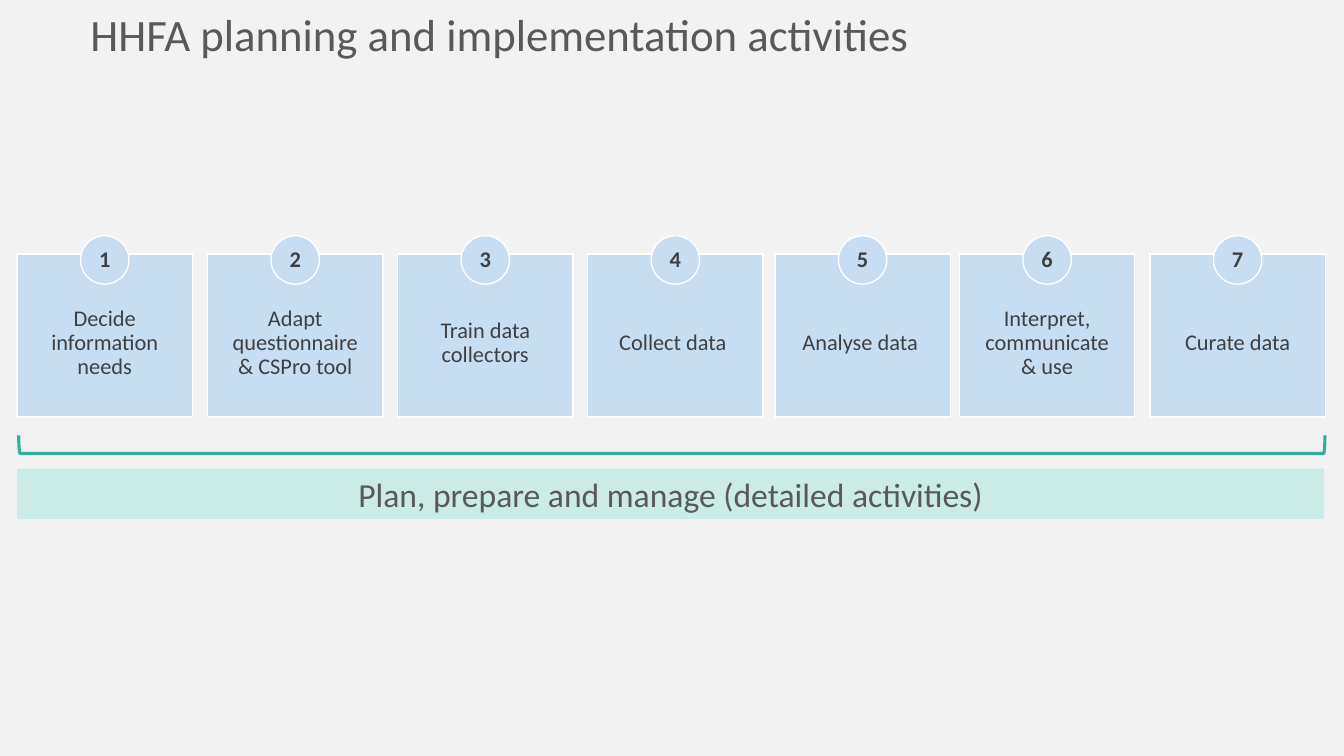
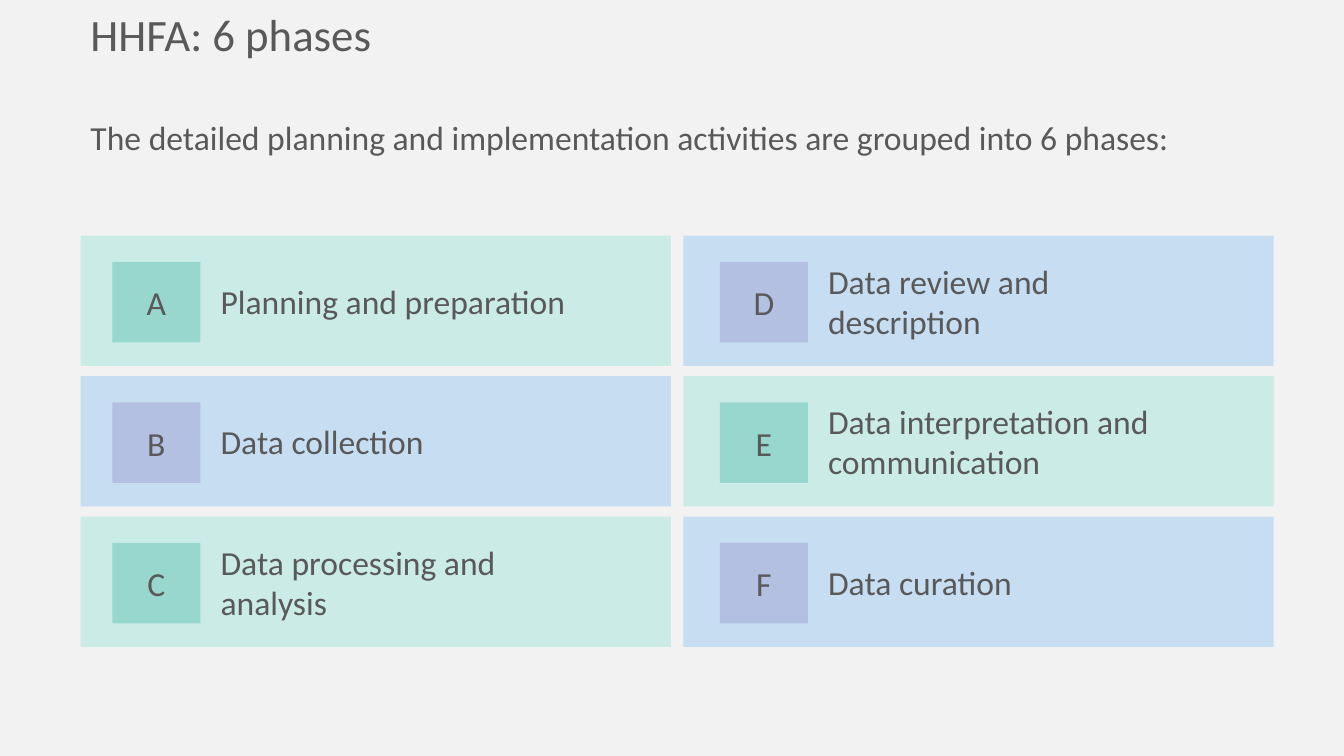
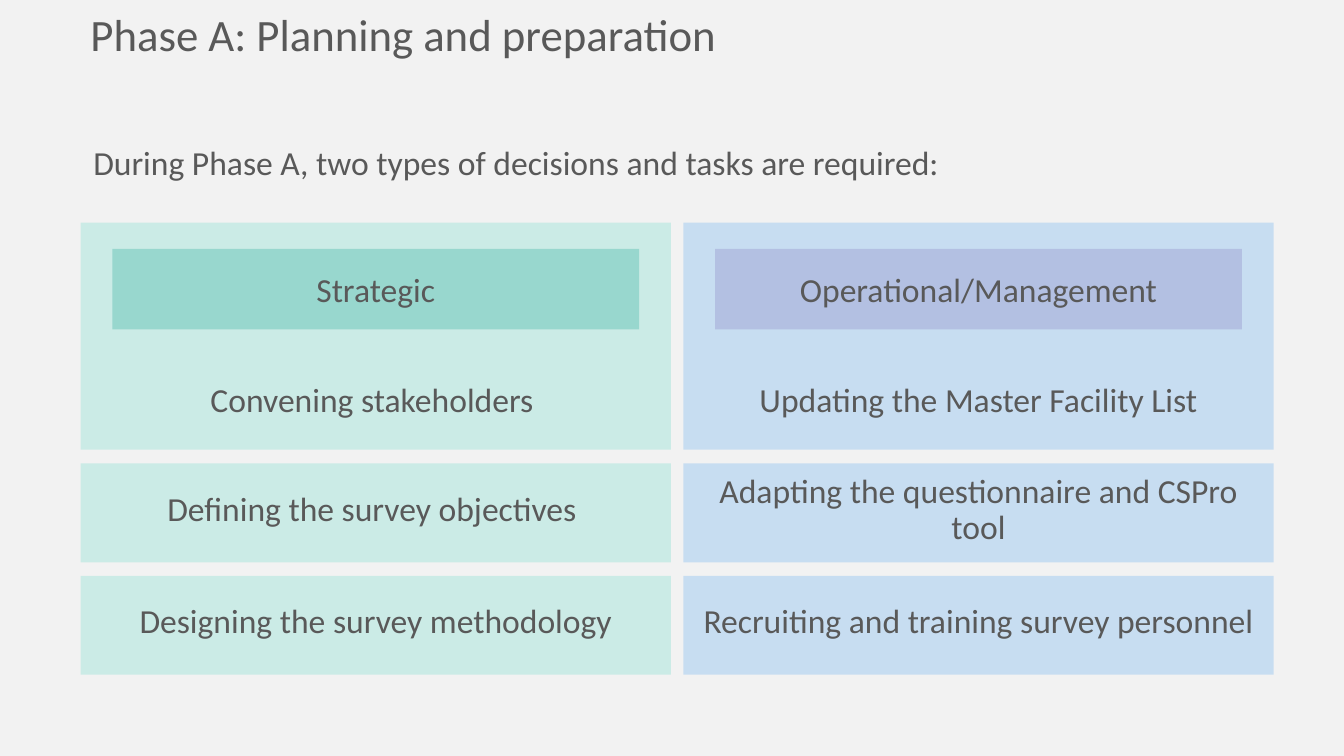
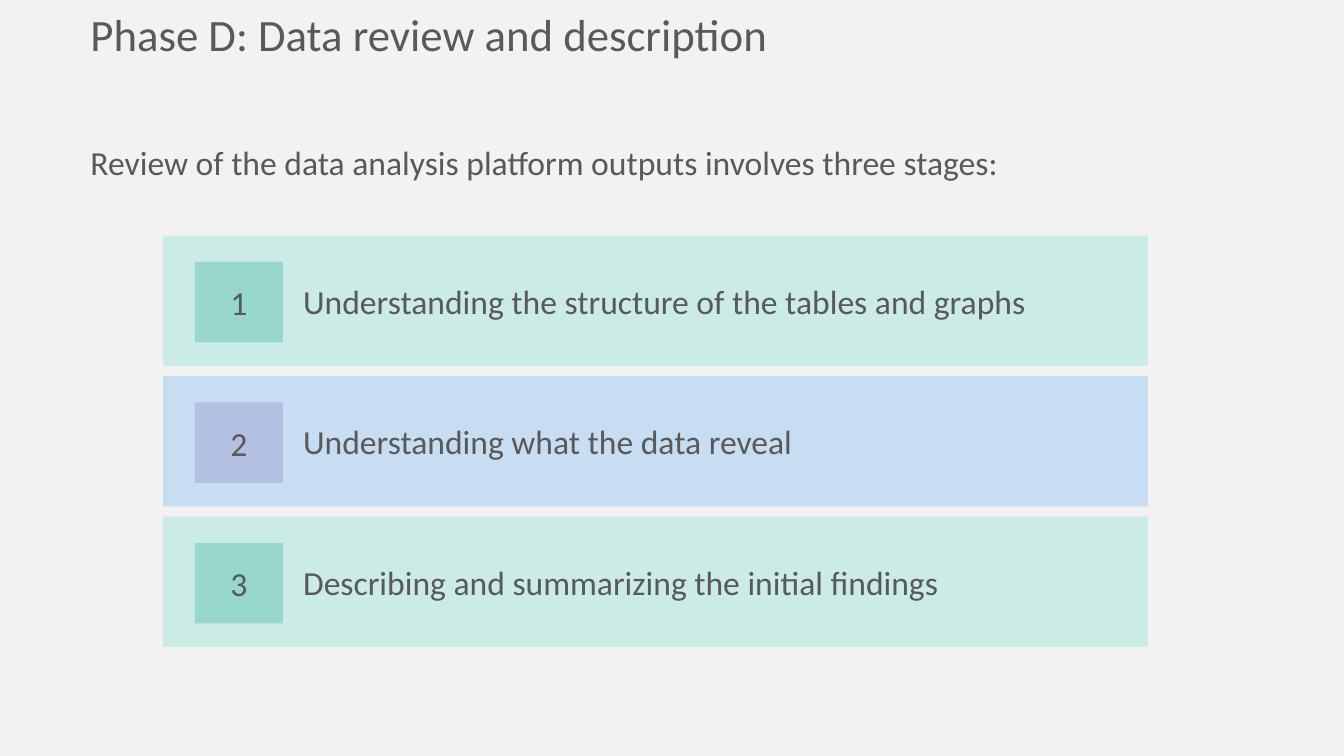
from dataclasses import dataclass
from typing import NamedTuple

import pptx
import pptx.util
import pptx.dml.color
import pptx.enum.shapes
import pptx.enum.text
import pptx.oxml.ns
import pptx.presentation
import pptx.shapes.autoshape
import pptx.slide
import pptx.text.text
from lxml import etree

Cm = pptx.util.Cm
Pt = pptx.util.Pt
Kind = pptx.enum.shapes.MSO_SHAPE
Align = pptx.enum.text.PP_ALIGN
Anchor = pptx.enum.text.MSO_ANCHOR


class Tone(NamedTuple):
    """A pale card colour and the deeper colour of its badge."""
    card: str
    badge: str


class Box(NamedTuple):
    """A frame in centimetres."""
    left: float
    top: float
    width: float
    height: float


class Pad(NamedTuple):
    """Text margins in centimetres."""
    left: float = 0.25
    top: float = 0.13
    right: float = 0.25
    bottom: float = 0.13


class Step(NamedTuple):
    left: float
    label: str


class Card(NamedTuple):
    mark: str
    label: str
    lines: int = 1


class Track(NamedTuple):
    """A column of tasks under one heading."""
    left: float
    tone: Tone
    head: str
    tasks: tuple[str, ...]
    side: float


@dataclass(frozen=True)
class Theme:
    font: str = "Calibri"
    back: str = "F2F2F2"
    text: str = "595959"
    dark: str = "404040"
    white: str = "FFFFFF"
    line: str = "31B09C"
    green: Tone = Tone("CBEBE6", "98D7CE")
    blue: Tone = Tone("C7DDF1", "B3C0E2")
    title: int = 32
    body: int = 24
    small: int = 16


@dataclass(frozen=True)
class Style:
    size: int
    color: str
    bold: bool = False
    align: Align = Align.LEFT
    space: float = 1.0
    anchor: Anchor = Anchor.MIDDLE
    pad: Pad = Pad()


THEME = Theme()
TITLE = Style(THEME.title, THEME.text, anchor=Anchor.TOP)
LEAD = Style(THEME.body, THEME.text, space=0.9, anchor=Anchor.TOP)
LABEL = Style(THEME.body, THEME.text)
BADGE = Style(THEME.body, THEME.text, align=Align.CENTER)
STEP = Style(THEME.small, THEME.dark, align=Align.CENTER, space=0.9,
             pad=Pad(0.41, 0.99, 0.41, 0.61))
DISC = Style(THEME.small, THEME.dark, True, Align.CENTER, 0.9,
             pad=Pad(0, 0.1, 0, 0.1))

LEFT, RIGHT = 2.03, 17.22
WIDE = 14.88
INSET = 0.8

STEPS = (
    Step(0.43, "Decide information needs"),
    Step(5.23, "Adapt questionnaire & CSPro tool"),
    Step(10.02, "Train data collectors"),
    Step(14.81, "Collect data "),
    Step(19.53, "Analyse data "),
    Step(24.18, "Interpret, communicate & use"),
    Step(28.98, "Curate data"),
)
EARLY = (
    Card("A", "Planning and preparation"),
    Card("B", "Data collection"),
    Card("C", "Data processing and analysis", 2),
)
LATE = (
    Card("D", "Data review and description", 2),
    Card("E", "Data interpretation and communication", 2),
    Card("F", "Data curation"),
)
STAGES = (
    Card("1", "Understanding the structure of the tables and graphs"),
    Card("2", "Understanding what the data reveal"),
    Card("3", "Describing and summarizing the initial findings"),
)
TRACKS = (
    Track(LEFT, THEME.green, "Strategic",
          ("Convening stakeholders ", "Defining the survey objectives ",
           "Designing the survey methodology"), 0.25),
    Track(RIGHT, THEME.blue, "Operational/Management",
          ("Updating the Master Facility List",
           "Adapting the questionnaire and CSPro tool",
           "Recruiting and training survey personnel"), 0.3),
)


def rgb(color: str) -> pptx.dml.color.RGBColor:
    return pptx.dml.color.RGBColor.from_string(color)


def write(frame: pptx.text.text.TextFrame, text: str, style: Style) -> None:
    frame.word_wrap = True
    frame.auto_size = pptx.enum.text.MSO_AUTO_SIZE.NONE
    frame.vertical_anchor = style.anchor
    frame.margin_left, frame.margin_top = Cm(style.pad.left), Cm(style.pad.top)
    frame.margin_right, frame.margin_bottom = Cm(style.pad.right), Cm(style.pad.bottom)
    para = frame.paragraphs[0]
    para.alignment = style.align
    para.line_spacing = style.space
    para.space_before = Pt(0)
    run = para.add_run()
    run.text = text
    run.font.name = THEME.font
    run.font.size = Pt(style.size)
    run.font.bold = style.bold
    run.font.color.rgb = rgb(style.color)


def shape(slide: pptx.slide.Slide, box: Box, fill: str | None, line: str | None = None,
          kind: Kind = Kind.RECTANGLE, weight: float = 1) -> pptx.shapes.autoshape.Shape:
    item = slide.shapes.add_shape(kind, *map(Cm, box))
    item.shadow.inherit = False
    if fill:
        item.fill.solid()
        item.fill.fore_color.rgb = rgb(fill)
    else:
        item.fill.background()
    if line:
        item.line.color.rgb = rgb(line)
        item.line.width = Pt(weight)
    else:
        item.line.fill.background()
    return item


def label(slide: pptx.slide.Slide, box: Box, text: str, style: Style) -> None:
    write(slide.shapes.add_textbox(*map(Cm, box)).text_frame, text, style)


def place(item: pptx.shapes.autoshape.Shape, box: Box) -> None:
    item.left, item.top, item.width, item.height = map(Cm, box)


def start(deck: pptx.presentation.Presentation, title: str, lead: str = "",
          box: Box = Box(LEFT, 3.57, 30, 1.2)) -> pptx.slide.Slide:
    """Add a slide with its title and, if given, its lead sentence."""
    slide = deck.slides.add_slide(deck.slide_layouts[1 if lead else 5])
    place(slide.shapes.title, Box(LEFT, 0.05, 27.84, 1.63))
    write(slide.shapes.title.text_frame, title, TITLE)
    if lead:
        body = slide.placeholders[1]
        place(body, box)
        frame = body.text_frame
        props = frame.paragraphs[0]._p.get_or_add_pPr()
        props.set("marL", "0")
        props.set("indent", "0")
        etree.SubElement(props, pptx.oxml.ns.qn("a:buNone"))
        write(frame, lead, LEAD)
    return slide


def stack(slide: pptx.slide.Slide, cards: tuple[Card, ...], left: float, width: float,
          tones: tuple[Tone, Tone], room: float, inset: float = INSET) -> None:
    """Draw a column of cards whose colours alternate."""
    high, pitch = 3.28, 3.54
    for i, card in enumerate(cards):
        top = 5.94 + i * pitch
        tone = tones[i % 2]
        shape(slide, Box(left, top, width, high), tone.card)
        badge = shape(slide, Box(left + inset, top + 0.66, 2.22, 2.03), tone.badge)
        write(badge.text_frame, card.mark, BADGE)
        tall = 1.27 + 1.04 * (card.lines - 1)
        label(slide, Box(left + inset + 2.48, top + (high - tall) / 2, room, tall),
              card.label, LABEL)


def flow(deck: pptx.presentation.Presentation) -> None:
    slide = start(deck, "HHFA planning and implementation activities")
    fill = THEME.blue.card
    width, disc = 4.42, 1.22
    for step in STEPS:
        item = shape(slide, Box(step.left, 6.4, width, 4.11), fill, THEME.white)
        write(item.text_frame, step.label, STEP)
    for i, step in enumerate(STEPS, 1):
        left = step.left + (width - disc) / 2
        item = shape(slide, Box(left, 5.94, disc, disc), fill, THEME.white, Kind.OVAL)
        write(item.text_frame, str(i), DISC)
    span, deep = 32.92, 0.46
    mid, level = 16.93, 11.2
    brace = shape(slide, Box(mid - deep / 2, level - span / 2, deep, span), None,
                  THEME.line, Kind.RIGHT_BRACKET, 2.25)
    brace.rotation = 90
    band = shape(slide, Box(0.43, 11.81, 32.94, 1.27), THEME.green.card)
    write(band.text_frame, "Plan, prepare and manage (detailed activities)", BADGE)


def phases(deck: pptx.presentation.Presentation) -> None:
    slide = start(deck, "HHFA: 6 phases",
                  "The detailed planning and implementation activities are grouped "
                  "into 6 phases:", Box(LEFT, 2.92, 30, 2.1))
    stack(slide, EARLY, LEFT, WIDE, (THEME.green, THEME.blue), 10.11)
    stack(slide, LATE, RIGHT, WIDE, (THEME.blue, THEME.green), 10.11, 0.92)


def tasks(deck: pptx.presentation.Presentation) -> None:
    slide = start(deck, "Phase A: Planning and preparation",
                  "During Phase A, two types of decisions and tasks are required:",
                  Box(2.1, 3.56, 30, 1.2))
    for track in TRACKS:
        left, inner = track.left + INSET, WIDE - 2 * INSET
        shape(slide, Box(track.left, 5.61, WIDE, 5.72), track.tone.card)
        head = shape(slide, Box(left, 6.27, inner, 2.03), track.tone.badge)
        write(head.text_frame, track.head, BADGE)
        label(slide, Box(left, 9.42, inner, 1.27), track.tasks[0], BADGE)
        style = Style(THEME.body, THEME.text, align=Align.CENTER, space=0.9,
                      pad=Pad(track.side, 0, track.side))
        for i, task in enumerate(track.tasks[1:]):
            row = shape(slide, Box(track.left, 11.68 + i * 2.83, WIDE, 2.49),
                        track.tone.card)
            write(row.text_frame, task, style)


def review(deck: pptx.presentation.Presentation) -> None:
    slide = start(deck, "Phase D: Data review and description",
                  "Review of the data analysis platform outputs involves three stages:")
    stack(slide, STAGES, 4.11, 24.82, (THEME.green, THEME.blue), 21)


def main() -> None:
    deck = pptx.Presentation()
    deck.slide_width, deck.slide_height = Cm(33.87), Cm(19.05)
    back = deck.slide_master.background.fill
    back.solid()
    back.fore_color.rgb = rgb(THEME.back)
    for build in (flow, phases, tasks, review):
        build(deck)
    deck.save("out.pptx")


if __name__ == "__main__":
    main()
